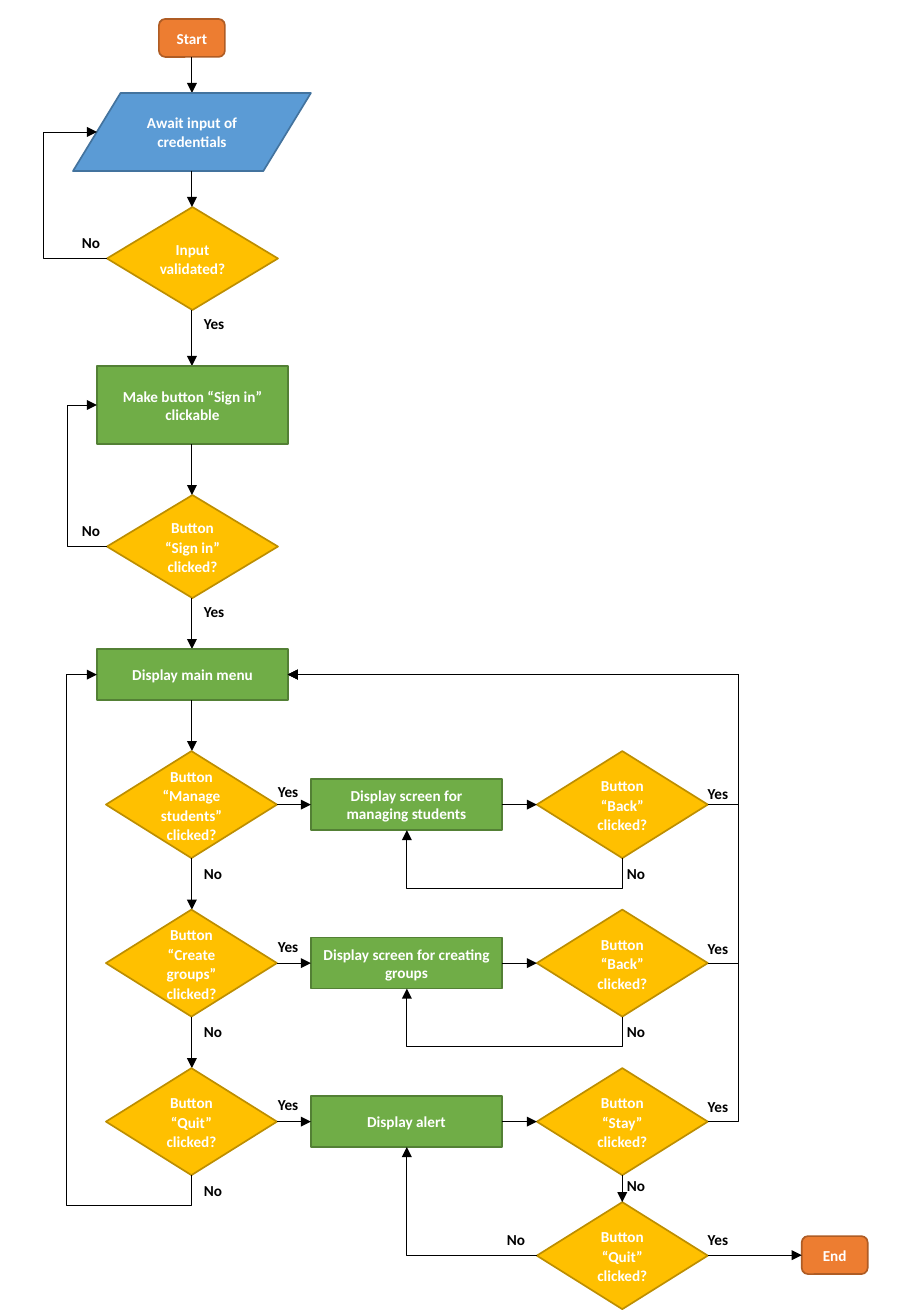
import pptx
import pptx.util
import pptx.dml.color
import pptx.enum.shapes
import pptx.enum.text
import pptx.oxml
import pptx.oxml.ns

KIND = pptx.enum.shapes.MSO_SHAPE
LINK = pptx.enum.shapes.MSO_CONNECTOR
ALIGN = pptx.enum.text.PP_ALIGN
SCALE = 914400 / 121.5
STYLES = {
    "end": (KIND.FLOWCHART_ALTERNATE_PROCESS, "ED7D31", "AF5C24"),
    "step": (KIND.FLOWCHART_PROCESS, "70AD47", "538035"),
    "input": (KIND.FLOWCHART_DATA, "5B9BD5", "43739E"),
    "test": (KIND.FLOWCHART_DECISION, "FFC000", "BD8E00"),
}
TALL = 107
WIDE = 171
MENU = (97, 649, 191, 51)


def emu(*pixels):
    return [round(pixel * SCALE) for pixel in pixels]


def color(text):
    return pptx.dml.color.RGBColor.from_string(text)


def write(para, text, tint):
    para.text = text
    para.font.name = "Calibri"
    para.font.size = pptx.util.Pt(9)
    para.font.bold = True
    para.font.color.rgb = color(tint)


def node(slide, style, text, box):
    kind, fill, edge = STYLES[style]
    shape = slide.shapes.add_shape(kind, *emu(*box))
    shape.shadow.inherit = False
    shape.fill.solid()
    shape.fill.fore_color.rgb = color(fill)
    shape.line.color.rgb = color(edge)
    shape.line.width = pptx.util.Pt(1)
    frame = shape.text_frame
    frame.word_wrap = True
    frame.vertical_anchor = pptx.enum.text.MSO_ANCHOR.MIDDLE
    para = frame.paragraphs[0]
    para.alignment = ALIGN.CENTER
    write(para, text, "FFFFFF")
    if style in ("end", "test"):
        frame.margin_left = frame.margin_right = pptx.util.Inches(0.05)
        frame.margin_top = frame.margin_bottom = pptx.util.Inches(0.02)
        para.line_spacing = 1.07
        para.space_after = pptx.util.Pt(3.7)


def label(slide, text, left, top):
    width = 46 if text == "Yes" else 43
    frame = slide.shapes.add_textbox(*emu(left, top, width, 30)).text_frame
    frame.word_wrap = False
    write(frame.paragraphs[0], text, "000000")


def arrow(slide, start, end, kind=LINK.STRAIGHT):
    link = slide.shapes.add_connector(kind, *emu(*start, *end))
    link.line.color.rgb = color("000000")
    link.line.width = pptx.util.Pt(0.5)
    tail = pptx.oxml.parse_xml(
        '<a:tailEnd %s type="triangle"/>' % pptx.oxml.ns.nsdecls("a"))
    link.line._get_or_add_ln().append(tail)
    link._element.spPr.append(pptx.oxml.parse_xml(
        "<a:effectLst %s/>" % pptx.oxml.ns.nsdecls("a")))
    return link


def bend(link, preset, *ratios):
    geom = link._element.spPr.find(pptx.oxml.ns.qn("a:prstGeom"))
    geom.set("prst", preset)
    guides = geom.find(pptx.oxml.ns.qn("a:avLst"))
    for index, ratio in enumerate(ratios, 1):
        guide = pptx.oxml.parse_xml("<a:gd %s/>" % pptx.oxml.ns.nsdecls("a"))
        guide.set("name", f"adj{index}")
        guide.set("fmla", f"val {round(ratio * 100000)}")
        guides.append(guide)


def side(slide, start, end, via):
    link = arrow(slide, start, end, LINK.ELBOW)
    bend(link, "bentConnector3", (via - start[0]) / (end[0] - start[0]))


def under(slide, start, end, low, left=None):
    link = arrow(slide, start, end, LINK.ELBOW)
    run, rise = start[0] - end[0], start[1] - end[1]
    mid_x, mid_y = (start[0] + end[0]) / 2, (start[1] + end[1]) / 2
    link.left, link.top, link.width, link.height = emu(
        mid_x - rise / 2, mid_y - run / 2, rise, run)
    frame = link._element.spPr.xfrm
    frame.set("rot", "5400000")
    frame.set("flipH", "1")
    frame.attrib.pop("flipV", None)
    drop = (start[1] - low) / rise
    if left is None:
        bend(link, "bentConnector3", drop)
    else:
        bend(link, "bentConnector4", drop, (start[0] - left) / run)


def check(slide, box, step, test, edge, back):
    left, top, width, high = box
    axis = left + 119
    node(slide, *step, (left + step_inset(step), top, width, 78))
    node(slide, "test", test, (axis - 85, edge, WIDE, 103))
    arrow(slide, (axis, top + 78), (axis, edge))
    arrow(slide, (axis, edge + 103), (axis, top + high))
    side(slide, (axis - 85, edge + 51), (left + 24, top + 39), back)
    label(slide, "No", axis - 122, edge + 20)
    label(slide, "Yes", axis, edge + 101)


def step_inset(step):
    return 0 if step[0] == "input" else 24


def choice(slide, box, test, step, back, lift):
    left, top, width, high = box
    mid = top + 53.5
    far = left + width - WIDE
    node(slide, "test", test, (left, top, WIDE, TALL))
    node(slide, "step", step, (left + 205, top + 28, 191, 51))
    node(slide, "test", back, (far, top, WIDE, TALL))
    arrow(slide, (left + WIDE, mid), (left + 205, mid))
    arrow(slide, (left + 396, mid), (far, mid))
    side(slide, (far + WIDE, mid), (MENU[0] + MENU[2], MENU[1] + 25.5), 739)
    label(slide, "Yes", left + 160, top + lift)
    label(slide, "Yes", far + 159, top + lift + 2)
    label(slide, "No", left + 86, top + high)


def leave(slide, box):
    left, top, width, high = box
    axis, mid = left + 85.5, top + 53
    node(slide, "test", "Button “Quit” clicked?", (left, top, WIDE, TALL))
    node(slide, "end", "End", (left + width - 66, mid - 19, 66, 38))
    arrow(slide, (axis, top - 27), (axis, top))
    arrow(slide, (left + WIDE, mid), (left + width - 66, mid))
    link = arrow(slide, (left, mid), (left - 130, top - 55), LINK.ELBOW)
    bend(link, "bentConnector2")
    label(slide, "No", left + 78, top - 32)
    label(slide, "No", left - 42, top + 22)
    label(slide, "Yes", left + 159, top + 22)


deck = pptx.Presentation()
deck.slide_width = pptx.util.Inches(7.5)
deck.slide_height = pptx.util.Inches(10.83)
slide = deck.slides.add_slide(deck.slide_layouts[6])

node(slide, "end", "Start", (159, 19, 66, 38))
arrow(slide, (192, 57), (192, 93))
check(slide, (73, 93, 238, 273), ("input", "Await input of credentials"),
      "Input validated?", 207, 43)
check(slide, (73, 366, 191, 283), ("step", "Make button “Sign in” clickable"),
      "Button “Sign in” clicked?", 495, 67)
node(slide, "step", "Display main menu", MENU)
arrow(slide, (192, 700), (192, 751))

ROWS = [
    ("Button “Manage students” clicked?",
     "Display screen for managing students", "Button “Back” clicked?", 25),
    ("Button “Create groups” clicked?",
     "Display screen for creating groups", "Button “Back” clicked?", 22),
    ("Button “Quit” clicked?", "Display alert", "Button “Stay” clicked?", 21),
]
for index, row in enumerate(ROWS):
    top = 751 + 158.5 * index
    choice(slide, (106, top, 602, TALL), *row)
    if index < len(ROWS) - 1:
        arrow(slide, (192, top + TALL), (192, top + 158.5))
        under(slide, (622.5, top + TALL), (407, top + 79), top + 137)
        label(slide, "No", 615, top + TALL)
under(slide, (192, top + TALL), (97, 674.5), top + 137, 67)
leave(slide, (537, 1202, 331, TALL))

deck.save("out.pptx")
